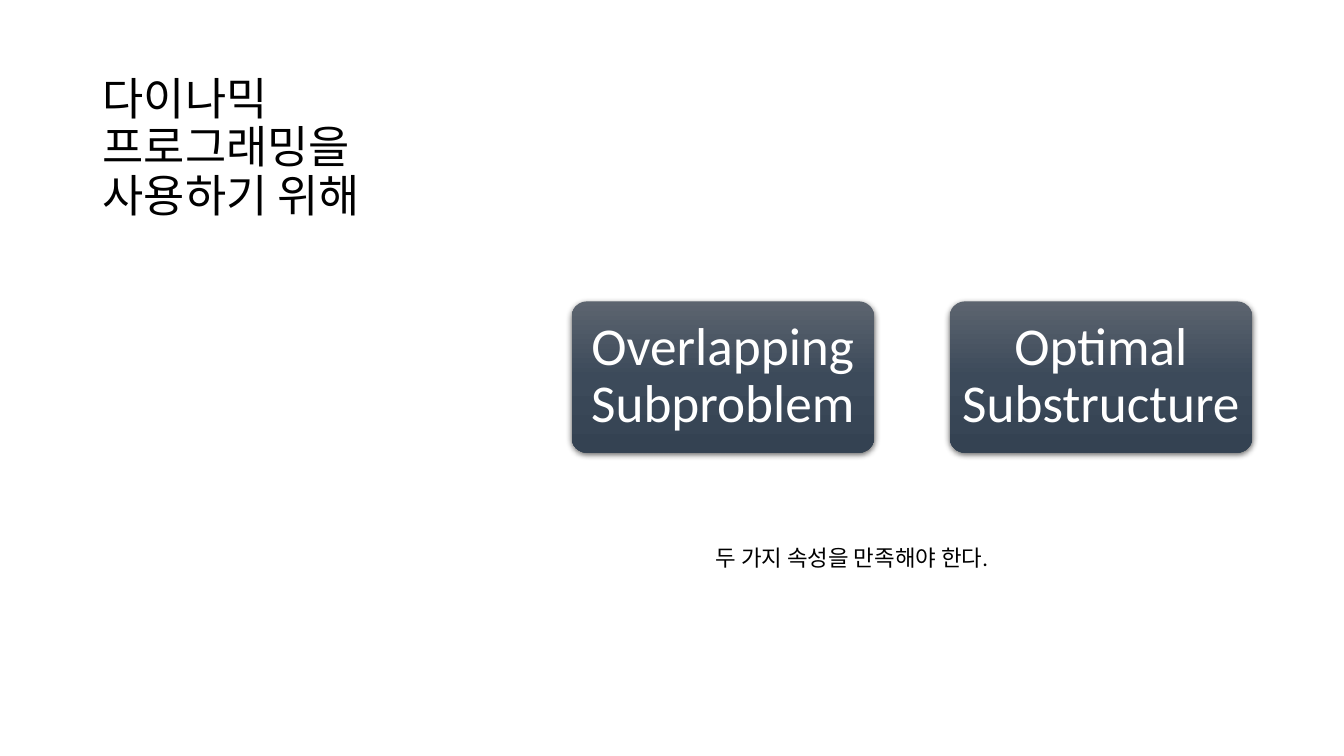
import copy
import typing

import lxml.etree
import pptx
import pptx.dml.color
import pptx.enum.shapes
import pptx.enum.text
import pptx.oxml.ns
import pptx.util

Inches = pptx.util.Inches
Pt = pptx.util.Pt
RGBColor = pptx.dml.color.RGBColor
Align = pptx.enum.text.PP_ALIGN
Anchor = pptx.enum.text.MSO_ANCHOR
qn = pptx.oxml.ns.qn

FONT = "Calibri"
BLACK = RGBColor(0x00, 0x00, 0x00)
WHITE = RGBColor(0xFF, 0xFF, 0xFF)
CARD_GRADIENT = (
    (0.0, RGBColor(0x5C, 0x64, 0x6F)),
    (0.5, RGBColor(0x3C, 0x4A, 0x5A)),
    (1.0, RGBColor(0x34, 0x42, 0x52)),
)


class Box(typing.NamedTuple):
    left: float
    top: float
    width: float
    height: float

    def lengths(self) -> list:
        return [Inches(side) for side in self]


class Property(typing.NamedTuple):
    label: str
    box: Box


# The two cards share a size and a row
CARD_LEFT, CARD_TOP, CARD_WIDTH, CARD_HEIGHT = 5.67, 2.99, 3.0, 1.5
CARD_PITCH = 3.75
PROPERTIES = [
    Property(label, Box(CARD_LEFT + column * CARD_PITCH, CARD_TOP, CARD_WIDTH, CARD_HEIGHT))
    for column, label in enumerate(("Overlapping Subproblem", "Optimal Substructure"))
]


def write_text(shape, text: str, *, size: float, color: RGBColor = BLACK,
               align=Align.LEFT, anchor=Anchor.TOP, line_spacing: float = 1.0,
               space_after: float = 0, margins: tuple = (0.1, 0.05)) -> None:
    frame = shape.text_frame
    frame.word_wrap = True
    frame.vertical_anchor = anchor
    frame.margin_left = frame.margin_right = Inches(margins[0])
    frame.margin_top = frame.margin_bottom = Inches(margins[1])
    paragraph = frame.paragraphs[0]
    paragraph.alignment = align
    paragraph.line_spacing = line_spacing
    paragraph.space_after = Pt(space_after)
    run = paragraph.add_run()
    run.text = text
    run.font.name = FONT
    run.font.size = Pt(size)
    run.font.color.rgb = color


def fill_gradient(shape) -> None:
    shape.fill.gradient()
    shape.fill.gradient_angle = 270
    stop_list = shape._element.spPr.find(qn("a:gradFill")).find(qn("a:gsLst"))
    stop_list.append(copy.deepcopy(stop_list[0]))
    for stop, (position, color) in zip(shape.fill.gradient_stops, CARD_GRADIENT):
        stop.position = position
        stop.color.rgb = color


def cast_shadow(shape) -> None:
    shape.shadow.inherit = False
    effects = shape._element.spPr.find(qn("a:effectLst"))
    shadow = lxml.etree.SubElement(
        effects, qn("a:outerShdw"), blurRad=str(Pt(4.5)), dist=str(Pt(1.5)),
        dir="5400000", algn="ctr", rotWithShape="0")
    tint = lxml.etree.SubElement(shadow, qn("a:srgbClr"), val=str(BLACK))
    lxml.etree.SubElement(tint, qn("a:alpha"), val="63000")


def add_card(slide, item: Property) -> None:
    card = slide.shapes.add_shape(
        pptx.enum.shapes.MSO_SHAPE.ROUNDED_RECTANGLE, *item.box.lengths())
    card.adjustments[0] = 0.1
    fill_gradient(card)
    card.line.fill.background()
    cast_shadow(card)
    write_text(card, item.label, size=38, color=WHITE, align=Align.CENTER,
               anchor=Anchor.MIDDLE, line_spacing=0.9, margins=(0.07, 0.05))


presentation = pptx.Presentation()
presentation.slide_width = Inches(13.33)
presentation.slide_height = Inches(7.5)
slide = presentation.slides.add_slide(presentation.slide_layouts[6])

# Heading
heading = slide.shapes.add_textbox(*Box(0.92, 0.5, 4.3, 1.75).lengths())
write_text(heading, "다이나믹 프로그래밍을 사용하기 위해", size=32,
           anchor=Anchor.BOTTOM, line_spacing=0.9)

# Required properties
for item in PROPERTIES:
    add_card(slide, item)

# Closing remark
remark = slide.shapes.add_textbox(*Box(7, 5.35, 3.39, 0.39).lengths())
write_text(remark, "두 가지 속성을 만족해야 한다.", size=16, space_after=6)

presentation.save("out.pptx")
